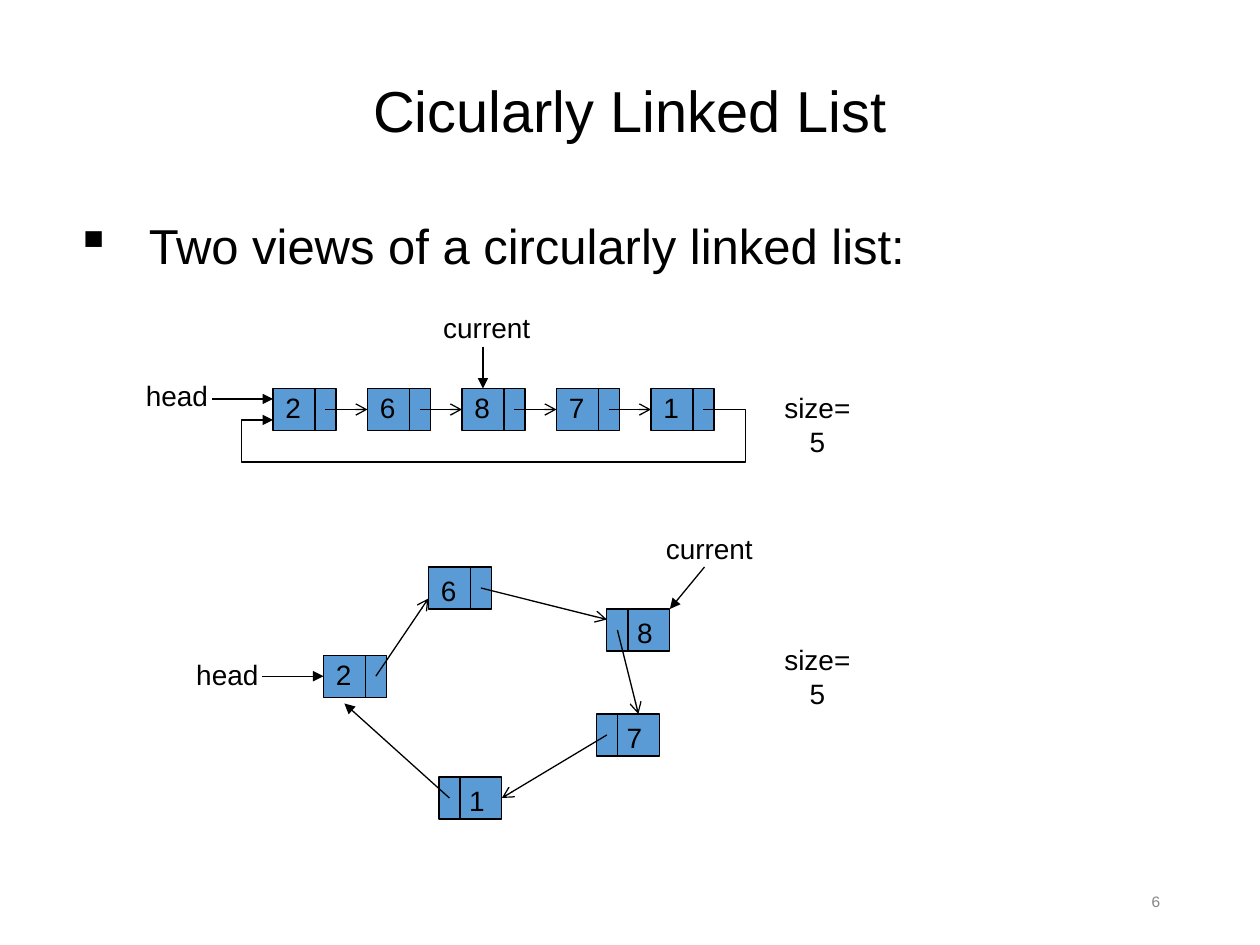
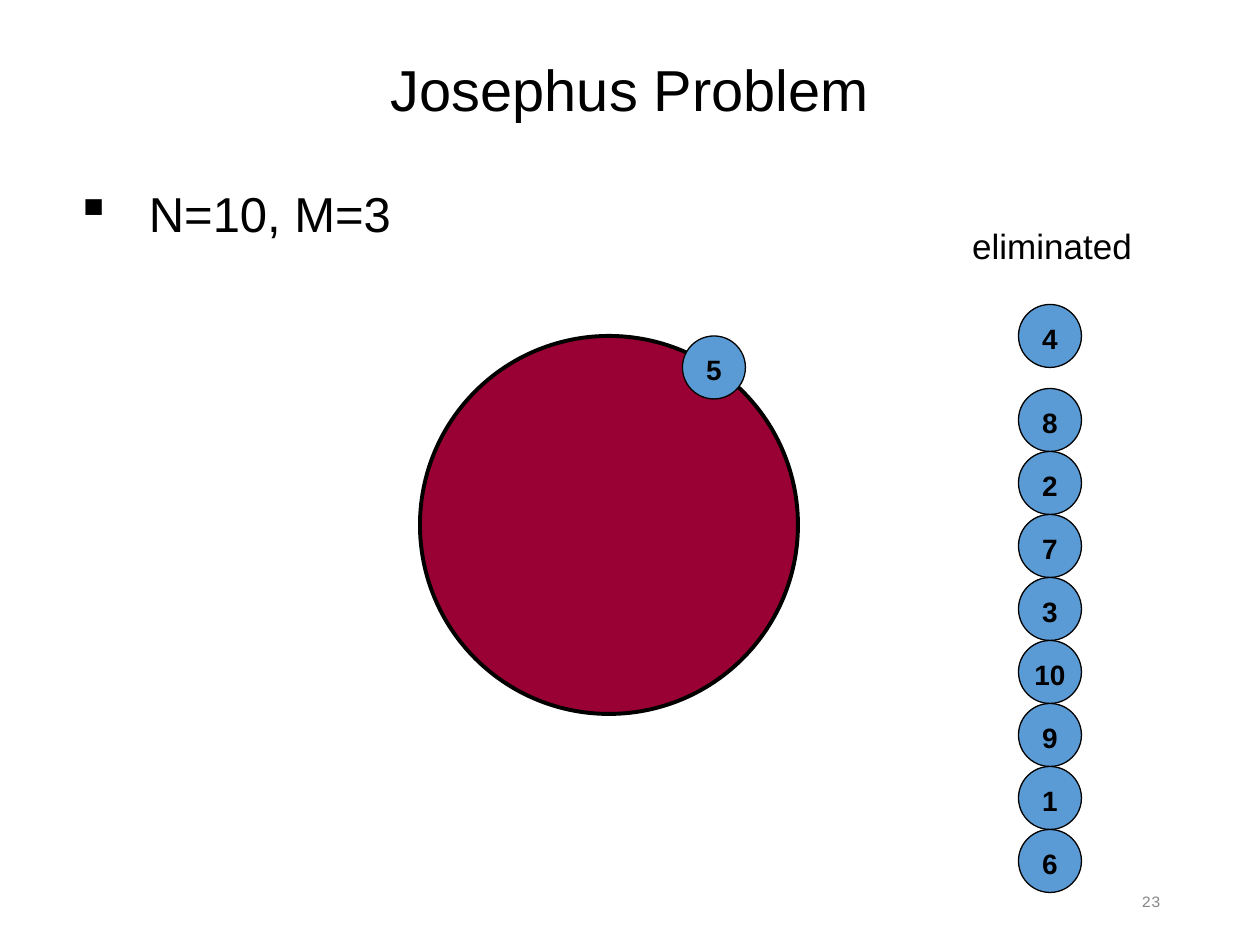
"""Build two slides on circularly linked lists and the Josephus problem."""
from dataclasses import dataclass

from lxml import etree
from pptx import Presentation, util as u
from pptx.dml.color import RGBColor
from pptx.enum import shapes, text
from pptx.oxml import ns

PX = 7620
NODE_W, NODE_H = 60, 40
DISC = 60
LEFT, CENTER, RIGHT = text.PP_ALIGN.LEFT, text.PP_ALIGN.CENTER, text.PP_ALIGN.RIGHT


@dataclass(frozen=True)
class Theme:
    ink: RGBColor = RGBColor.from_string("000000")
    node: RGBColor = RGBColor.from_string("5B9BD5")
    table: RGBColor = RGBColor.from_string("990033")
    muted: RGBColor = RGBColor.from_string("898989")
    face: str = "Arial"
    number_face: str = "Courier New"
    title: int = 33
    body: int = 28
    heading: int = 20
    label: int = 16
    number: int = 9
    thin: float = 0.75
    thick: float = 2.25


THEME = Theme()


def px(*lengths):
    return [u.Emu(length * PX) for length in lengths]


def add_xml(parent, tag, **attributes):
    return etree.SubElement(parent, ns.qn(tag), attributes)


def add_text(slide, words, box, size=THEME.label, align=CENTER, wrap=True, middle=False,
             bold=False, face=THEME.face, color=THEME.ink, spacing=None, bullet=None):
    frame = slide.shapes.add_textbox(*px(*box)).text_frame
    frame.word_wrap = wrap
    frame.vertical_anchor = text.MSO_ANCHOR.MIDDLE if middle else text.MSO_ANCHOR.TOP
    line = frame.paragraphs[0]
    line.text = words
    line.alignment = align
    if bullet:
        indent = 70 * PX
        props = line._p.get_or_add_pPr()
        props.set("marL", str(indent))
        props.set("indent", str(-indent))
        add_xml(add_xml(props, "a:buClr"), "a:srgbClr", val=str(color))
        add_xml(props, "a:buChar", char=bullet)
    if spacing:
        line.line_spacing = spacing
    line.font.name = face
    line.font.size = u.Pt(size)
    line.font.bold = bold
    line.font.color.rgb = color


def add_label(slide, words, left, top, width, height=44, size=THEME.label):
    add_text(slide, words, (left, top, width, height), size, wrap=False)


def outline(shape, width=THEME.thin, head=None):
    shape.line.color.rgb = THEME.ink
    shape.line.width = u.Pt(width)
    if head:
        add_xml(shape.line._get_or_add_ln(), "a:tailEnd", type=head)


def add_filled(slide, kind, box, color, width=THEME.thin):
    shape = slide.shapes.add_shape(kind, *px(*box))
    shape.shadow.inherit = False
    shape.fill.solid()
    shape.fill.fore_color.rgb = color
    outline(shape, width)


def add_line(slide, start, end, head=None):
    line = slide.shapes.add_connector(shapes.MSO_CONNECTOR.STRAIGHT, *px(*start, *end))
    outline(line, head=head)
    add_xml(line._element.spPr, "a:effectLst")


def add_loop(slide, points, head):
    builder = slide.shapes.build_freeform(*points[0], scale=PX)
    builder.add_line_segments(points[1:], close=False)
    loop = builder.convert_to_shape()
    loop.shadow.inherit = False
    loop.fill.background()
    outline(loop, head=head)


def add_node(slide, value, left, top, lift=0, mirrored=False):
    """Draw a value cell with its pointer cell and return where its link starts."""
    divider, link, value_left = (20, 10, 17) if mirrored else (40, 50, 0)
    add_filled(slide, shapes.MSO_SHAPE.RECTANGLE, (left, top, NODE_W, NODE_H), THEME.node)
    add_line(slide, (left + divider, top), (left + divider, top + NODE_H))
    add_text(slide, value, (left + value_left, top - lift, 32, 44), align=LEFT)
    return left + link, top + NODE_H // 2


def add_disc(slide, value, left, top):
    add_filled(slide, shapes.MSO_SHAPE.OVAL, (left, top, DISC, DISC), THEME.node)
    add_text(slide, value, (left, top + 10, DISC, 44), bold=True)


def add_slide(deck, title, title_top, point, point_top, number):
    slide = deck.slides.add_slide(deck.slide_layouts[6])
    add_text(slide, title, (60, title_top, 1080, 120), THEME.title, middle=True, spacing=0.9)
    add_text(slide, point, (60, point_top, 1080, 80), THEME.body, LEFT, spacing=0.8, bullet="▪")
    add_text(slide, number, (847, 834, 270, 48), THEME.number, RIGHT, middle=True,
             face=THEME.number_face, color=THEME.muted)
    return slide


def draw_row(slide):
    """Draw the list as a row whose last node loops back to the first."""
    left, top, step = 260, 370, 90
    values = "26871"
    for index, value in enumerate(values):
        link = add_node(slide, value, left + index * step, top, lift=4)
        if index < len(values) - 1:
            add_line(slide, link, (left + (index + 1) * step, link[1]), "arrow")
    add_loop(slide, [link, (710, 390), (710, 440), (230, 440), (230, 400), (left, 400)],
             "triangle")
    add_label(slide, "head", 127, 355, 83)
    add_line(slide, (202, 380), (left, 380), "triangle")
    add_label(slide, "current", 410, 290, 107)
    add_line(slide, (460, 330), (460, top), "triangle")
    add_label(slide, "size=5", 728, 366, 101)


def draw_ring(slide):
    """Draw the same list as a ring."""
    ring = [
        ("2", 308, 624, 4, False, (408, 570), "arrow"),
        ("6", 408, 540, 0, False, (578, 590), "arrow"),
        ("8", 578, 580, 0, True, (608, 680), "arrow"),
        ("7", 568, 680, 0, True, (478, 760), "arrow"),
        ("1", 418, 740, 0, True, (328, 670), "triangle"),
    ]
    for value, left, top, lift, mirrored, target, head in ring:
        link = add_node(slide, value, left, top, lift, mirrored)
        add_line(slide, link, target, head)
    add_label(slide, "head", 175, 620, 83)
    add_line(slide, (250, 644), (308, 644), "triangle")
    add_label(slide, "current", 622, 500, 107)
    add_line(slide, (671, 540), (638, 580), "triangle")
    add_label(slide, "size=5", 728, 606, 101)


def draw_josephus(slide):
    """Draw the circle with its survivor and the column of the eliminated."""
    add_filled(slide, shapes.MSO_SHAPE.OVAL, (400, 320, 360, 360), THEME.table, THEME.thick)
    add_disc(slide, "5", 650, 320)
    add_label(slide, "eliminated", 914, 208, 176, 53, THEME.heading)
    add_disc(slide, "4", 970, 290)
    for index, value in enumerate(["8", "2", "7", "3", "10", "9", "1", "6"]):
        add_disc(slide, value, 970, 370 + index * DISC)


def main():
    deck = Presentation()
    deck.slide_width, deck.slide_height = px(1200, 900)
    views = add_slide(deck, "Cicularly Linked List", 48,
                      "Two views of a circularly linked list:", 210, "6")
    draw_row(views)
    draw_ring(views)
    josephus = add_slide(deck, "Josephus Problem", 28, "N=10, M=3", 180, "23")
    draw_josephus(josephus)
    deck.save("out.pptx")


if __name__ == "__main__":
    main()
